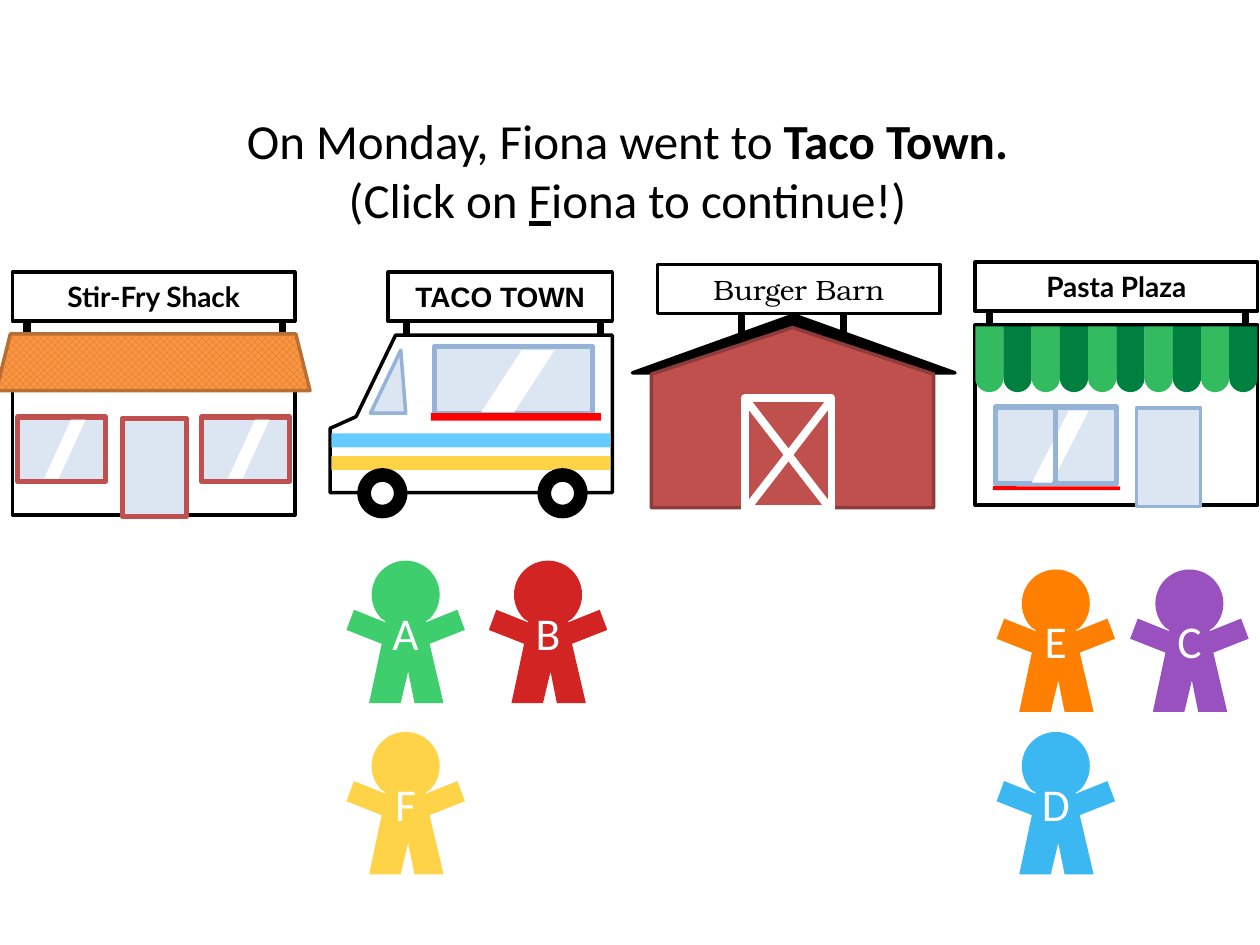
from math import cos, radians, sin

from lxml import etree
from pptx import Presentation
from pptx.dml.color import RGBColor
from pptx.enum.dml import MSO_PATTERN
from pptx.enum.shapes import MSO_CONNECTOR, MSO_SHAPE
from pptx.enum.text import MSO_ANCHOR, MSO_AUTO_SIZE, PP_ALIGN
from pptx.oxml.ns import qn
from pptx.util import Inches, Pt

RECT, ROUND, OVAL = MSO_SHAPE.RECTANGLE, MSO_SHAPE.ROUNDED_RECTANGLE, MSO_SHAPE.OVAL
TRIANGLE, TRAPEZOID = MSO_SHAPE.ISOSCELES_TRIANGLE, MSO_SHAPE.TRAPEZOID
GLINT = MSO_SHAPE.PARALLELOGRAM
STRAIGHT, DIAMONDS = MSO_CONNECTOR.STRAIGHT, MSO_PATTERN.OUTLINED_DIAMOND
CENTER, TOP, MIDDLE = PP_ALIGN.CENTER, MSO_ANCHOR.TOP, MSO_ANCHOR.MIDDLE
FIT_SHAPE = MSO_AUTO_SIZE.SHAPE_TO_FIT_TEXT

THEME = {
    "black": "000000", "white": "FFFFFF", "glass": "DCE6F2", "frame": "95B3D7",
    "brick": "C0504D", "brick edge": "8E3B39", "thatch": "F79646",
    "thatch mark": "E46C0A", "thatch edge": "B76F34", "light awning": "32BC5F",
    "dark awning": "008040", "ledge": "FF0000", "sky": "66CCFF", "yellow": "FFD348",
    "green": "3FCE6E", "red": "D22423", "purple": "9951C0", "blue": "3BB7F1",
    "orange": "FF8000", "title size": 28, "letter size": 26, "sign size": 16,
    "font": "Calibri",
}
INK = ("black", 2)
GLINT_ADJ = 0.65


def draw(shapes, shape, box, fill, line=None, adj=None):
    """Add a preset in a box, or an outline through a list of points at its corner."""
    x, y = box[:2]
    if isinstance(shape, list):
        pts = [(Inches(x + px), Inches(y + py)) for px, py in shape]
        builder = shapes.build_freeform(*pts[0])
        builder.add_line_segments(pts[1:], close=True)
        sp = builder.convert_to_shape()
    else:
        sp = shapes.add_shape(shape, *map(Inches, box))
    if adj is not None:
        sp.adjustments[0] = adj
    sp.shadow.inherit = False
    if fill == "thatch":
        sp.fill.patterned()
        sp.fill.pattern = DIAMONDS
        sp.fill.fore_color.rgb = RGBColor.from_string(THEME["thatch mark"])
        sp.fill.back_color.rgb = RGBColor.from_string(THEME["thatch"])
    else:
        sp.fill.solid()
        sp.fill.fore_color.rgb = RGBColor.from_string(THEME[fill])
    if line:
        sp.line.color.rgb = RGBColor.from_string(THEME[line[0]])
        sp.line.width = Pt(line[1])
    else:
        sp.line.fill.background()
    return sp


def arc(cx, cy, r, start, stop, steps=36):
    angles = [radians(start + (stop - start) * i / steps) for i in range(steps + 1)]
    return [(cx + r * cos(a), cy + r * sin(a)) for a in angles]


prs = Presentation()
prs.slide_width, prs.slide_height = Inches(10), Inches(7.5)
slide = prs.slides.add_slide(prs.slide_layouts[5])

# Title
title = slide.shapes.title
title.left, title.top, title.width, title.height = map(Inches, (1.77, 0.83, 6.42, 1.04))
tf = title.text_frame
for name, value in {"word_wrap": False, "vertical_anchor": TOP,
                    "auto_size": FIT_SHAPE}.items():
    setattr(tf, name, value)
title_lines = [
    [("On Monday, Fiona went to ", {}), ("Taco Town.", {"bold": True})],
    [("(Click on ", {}), ("F", {"underline": True}), ("iona to continue!)", {})],
]
for i, runs in enumerate(title_lines):
    p = tf.add_paragraph() if i else tf.paragraphs[0]
    p.alignment = CENTER
    for text, look in runs:
        r = p.add_run()
        r.text = text
        r.font.color.rgb = RGBColor.from_string(THEME["black"])
        for name, value in {"size": Pt(THEME["title size"]), "name": THEME["font"],
                            **look}.items():
            setattr(r.font, name, value)

# Shops: every part is placed from the top left corner of its shop's wall
WALL = (RECT, (0, 0, 2.24, 1.43), "white", INK)
STRIP = 2.24 / 10
scallop = [(STRIP, 0), (0, 0)] + arc(STRIP / 2, 0.41, STRIP / 2, 180, 0)
van = [(0.52, 0), (2.24, 0), (2.24, 1.25), (0, 1.25), (0, 0.74), (0.2, 0.65), (0.21, 0.64)]
barn = [(1.12, 0), (2.24, 0.37), (2.24, 1.43), (0, 1.43), (0, 0.37)]

shack_parts = [
    WALL,
    (RECT, (0.87, 0.66, 0.51, 0.78), "glass", ("brick", 3)),
    (TRAPEZOID, (-0.13, -0.01, 2.49, 0.45), "thatch", ("thatch edge", 2)),
]
for x in (0.04, 1.5):
    shack_parts += [
        (RECT, (x, 0.65, 0.7, 0.51), "glass", ("brick", 3)),
        (GLINT, (x + 0.21, 0.67, 0.33, 0.47), "white", None, GLINT_ADJ),
    ]

van_parts = [
    (van, (0, 0), "white", INK),
    (RECT, (0.83, 0.09, 1.25, 0.53), "glass", ("frame", 3)),
    (GLINT, (1.2, 0.12, 0.58, 0.49), "white", None, GLINT_ADJ),
    (RECT, (0.8, 0.62, 1.35, 0.06), "ledge"),
    (TRIANGLE, (0.32, 0.12, 0.28, 0.5), "glass", ("frame", 2), 0.86),
    (RECT, (0.01, 0.78, 2.21, 0.11), "sky"),
    (RECT, (0.01, 0.96, 2.21, 0.11), "yellow"),
]
for x in (0.23, 1.66):
    van_parts += [
        (OVAL, (x, 1.07, 0.37, 0.37), "black", INK),
        (OVAL, (x + 0.08, 1.15, 0.21, 0.21), "white", INK),
    ]

barn_parts = [
    (TRIANGLE, (-0.15, -0.1, 2.56, 0.46), "black", INK),
    (barn, (0, 0), "brick", ("brick edge", 2)),
    (RECT, (0.74, 0.56, 0.69, 0.88), "brick", ("white", 4.5)),
]

plaza_parts = [
    WALL,
    (RECT, (1.28, 0.66, 0.51, 0.78), "glass", ("frame", 2)),
    (RECT, (0.16, 0.65, 0.96, 0.61), "glass", ("frame", 3)),
    *[(scallop, (i * STRIP, 0.01), ("light awning", "dark awning")[i % 2])
      for i in range(10)],
    (ROUND, (0.14, 1.28, 1.01, 0.03), "ledge"),
    (GLINT, (0.45, 0.68, 0.45, 0.57), "white", None, GLINT_ADJ),
]

# sign, font, bold, wall corner, sign left and width, posts, post height, parts, bars
shops = [
    ("Stir-Fry Shack", "Lato", True, (0.1, 2.66), (0, 2.24), (0.1, 2.13), 0.13,
     shack_parts, []),
    ("TACO TOWN", "Arial", True, (2.62, 2.66), (0.46, 1.78), (0.59, 2.13), 0.13,
     van_parts, []),
    ("Burger Barn", "TeX Gyre Bonum", False, (5.17, 2.6), (0.05, 2.24), (0.7, 1.51), 0.18,
     barn_parts, [(0.74, 0.56, 1.42, 1.44, "white", 4.5),
                  (1.42, 0.58, 0.74, 1.46, "white", 4.5)]),
    ("Pasta Plaza", "Lato", True, (7.74, 2.58), (0, 2.24), (0.1, 2.13), 0.13,
     plaza_parts, [(0.64, 0.65, 0.64, 1.26, "frame", 3)]),
]
lettering = []
for name, font, bold, (left, top), (sign_x, sign_w), posts, post_h, parts, bars in shops:
    shapes = slide.shapes.add_group_shape().shapes
    for x in posts:
        draw(shapes, RECT, (left + x, top - 0.12, 0.03, post_h), "black", INK)
    sign = draw(shapes, RECT, (left + sign_x, top - 0.5, sign_w, 0.39), "white", INK)
    lettering.append((sign, name, font, bold, "sign size", "black"))
    for shape, (x, y, *size), *look in parts:
        draw(shapes, shape, (left + x, top + y, *size), *look)
    for x1, y1, x2, y2, color, width in bars:
        bar = shapes.add_connector(STRAIGHT, Inches(left + x1), Inches(top + y1),
                                   Inches(left + x2), Inches(top + y2))
        bar.line.color.rgb = RGBColor.from_string(THEME[color])
        bar.line.width = Pt(width)
        etree.SubElement(bar._element.spPr, qn("a:effectLst"))

# People: a round head, then the left side, the legs and the right side
person = arc(0.47, 0.27, 0.27, 45, -225) + [
    (0.31, 0.48), (0.31, 0.49), (0.06, 0.39), (0, 0.55), (0.28, 0.66), (0.18, 1.13),
    (0.43, 1.13), (0.49, 0.88), (0.54, 1.13), (0.77, 1.13), (0.66, 0.66), (0.94, 0.55),
    (0.88, 0.39), (0.63, 0.49), (0.63, 0.48),
]
people = [
    ("A", 2.75, 4.45, "green"), ("B", 3.88, 4.45, "red"), ("C", 8.97, 4.52, "purple"),
    ("D", 7.91, 5.81, "blue"), ("E", 7.91, 4.52, "orange"), ("F", 2.75, 5.81, "yellow"),
]
for letter, x, y, color in people:
    sp = draw(slide.shapes, person, (x, y), color)
    lettering.append((sp, letter, THEME["font"], False, "letter size", "white"))

# Lettering on signs and people
for sp, text, font, bold, size, color in lettering:
    tf = sp.text_frame
    tf.word_wrap, tf.vertical_anchor = True, MIDDLE
    p = tf.paragraphs[0]
    p.alignment = CENTER
    r = p.add_run()
    r.text = text
    r.font.color.rgb = RGBColor.from_string(THEME[color])
    for name, value in {"name": font, "size": Pt(THEME[size]), "bold": bold}.items():
        setattr(r.font, name, value)

prs.save("out.pptx")
